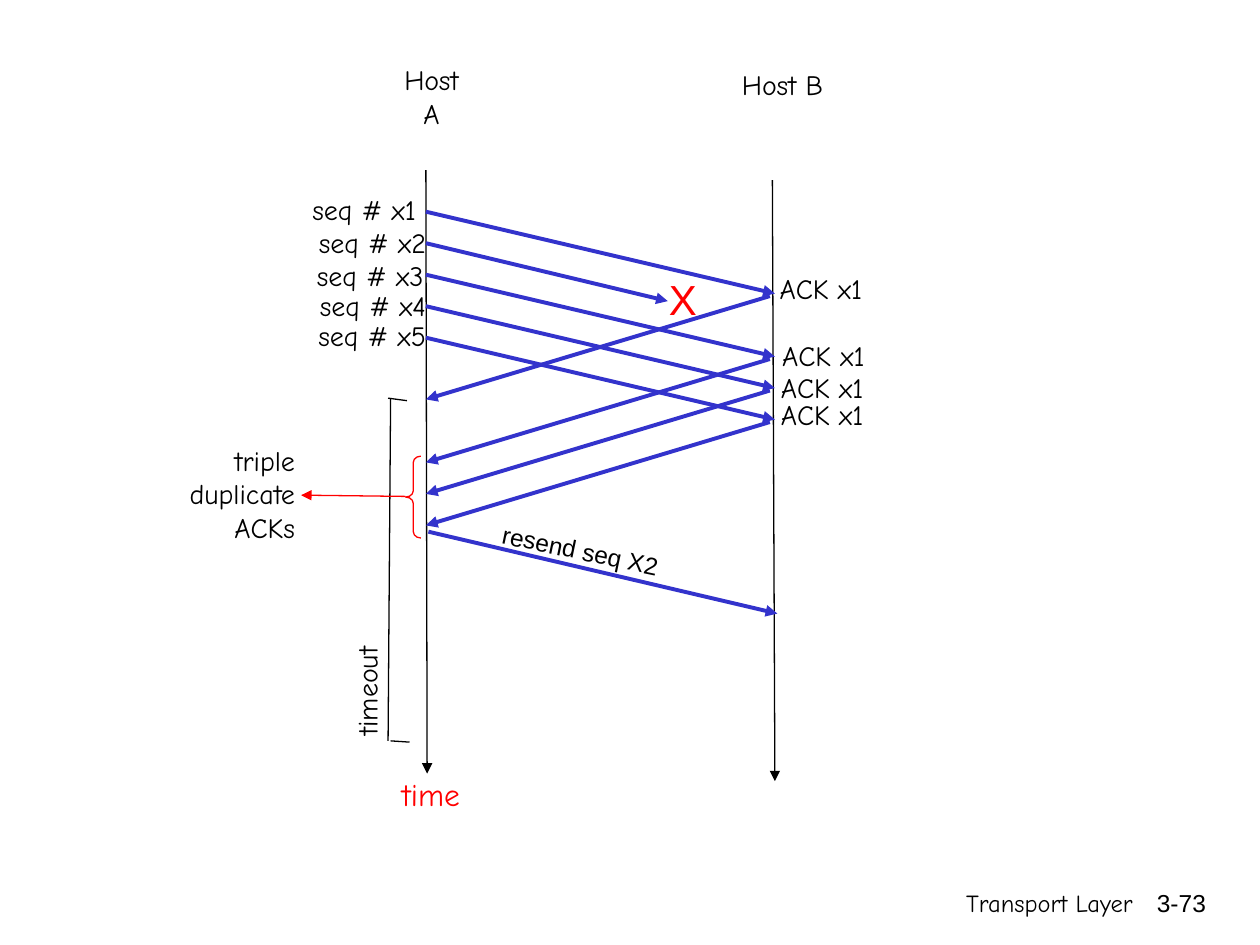
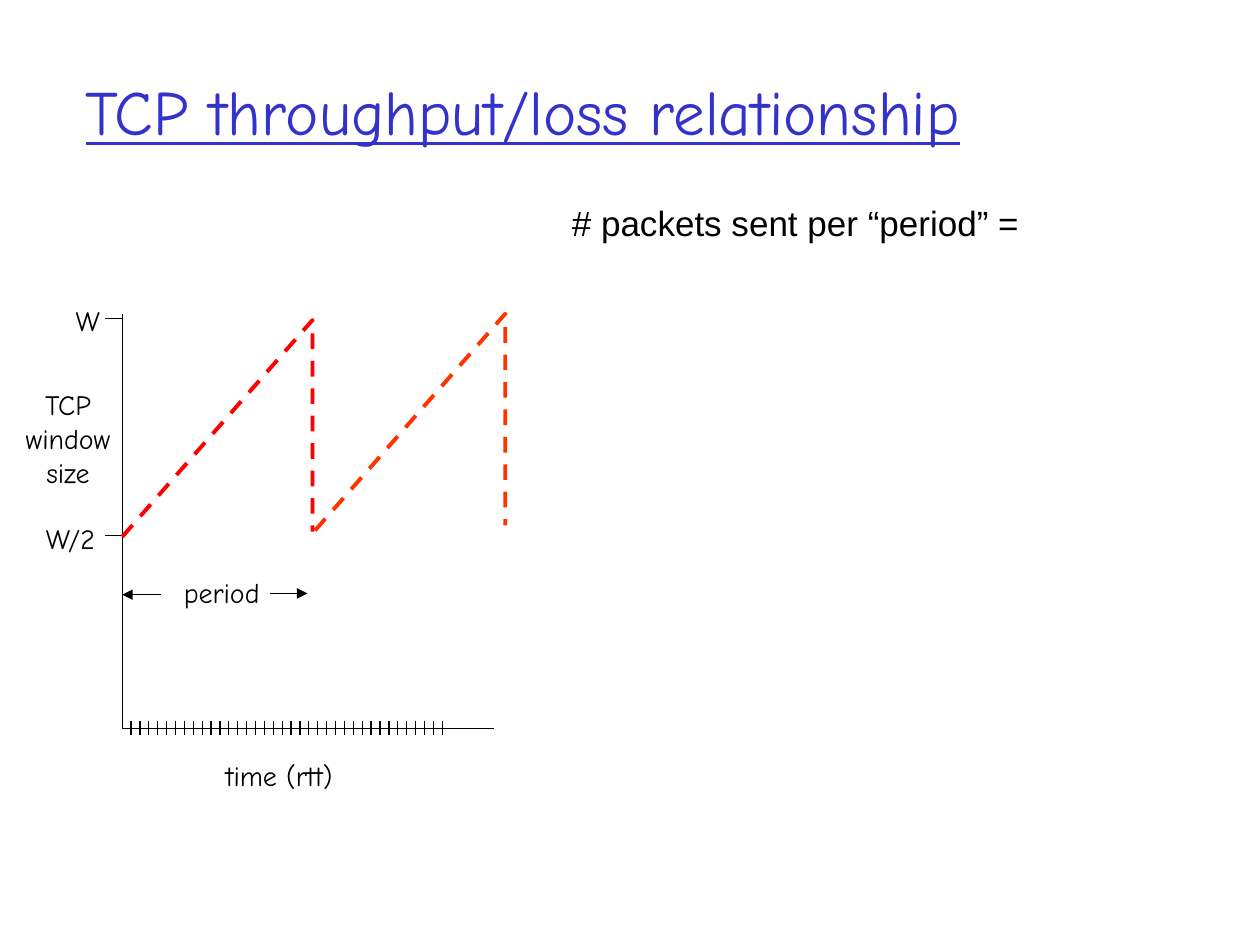
from lxml.etree import SubElement
from pptx import Presentation
from pptx.dml.color import RGBColor
from pptx.enum.dml import MSO_LINE
from pptx.enum.shapes import MSO_CONNECTOR, MSO_SHAPE
from pptx.enum.text import MSO_ANCHOR, MSO_AUTO_SIZE, PP_ALIGN
from pptx.oxml.ns import qn
from pptx.util import Inches, Pt

BLACK, BLUE, RED, ORANGE = "000000", "3333CC", "FF0000", "FF3300"
COMIC, ARIAL = "Comic Neue", "Arial"
LEFT, MID, RIGHT = PP_ALIGN.LEFT, PP_ALIGN.CENTER, PP_ALIGN.RIGHT


def paint(color, tone):
    color.rgb = RGBColor.from_string(tone)


def style(para, size, face, tone, align):
    para.alignment = align
    para.font.size = Pt(size)
    para.font.name = face
    paint(para.font.color, tone)


def label(slide, text, place, size=16, face=COMIC, tone=BLACK,
          align=MID, wrap=False, turn=0):
    box = slide.shapes.add_textbox(*map(Inches, place))
    box.rotation = turn
    frame = box.text_frame
    frame.word_wrap = wrap
    frame.auto_size = MSO_AUTO_SIZE.SHAPE_TO_FIT_TEXT
    frame.text = text
    for para in frame.paragraphs:
        style(para, size, face, tone, align)


def stroke(line, tone, width):
    paint(line.color, tone)
    line.width = Pt(width)


def rule(slide, start, end, tone=BLACK, width=0.75, arrow=False):
    link = slide.shapes.add_connector(
        MSO_CONNECTOR.STRAIGHT, *map(Inches, start + end))
    stroke(link.line, tone, width)
    props = link._element.spPr
    if arrow:
        SubElement(props.find(qn("a:ln")), qn("a:tailEnd"), type="triangle")
    SubElement(props, qn("a:effectLst"))


def send(slide, start, end):
    rule(slide, start, end, BLUE, 2.25, True)


def trace(slide, points, tone=BLACK, width=0.75, dash=None):
    first, *rest = [tuple(map(Inches, point)) for point in points]
    pen = slide.shapes.build_freeform(*first)
    pen.add_line_segments(rest, close=False)
    shape = pen.convert_to_shape()
    shape.shadow.inherit = False
    shape.fill.background()
    stroke(shape.line, tone, width)
    shape.line.dash_style = dash


def brace(slide, place):
    shape = slide.shapes.add_shape(MSO_SHAPE.LEFT_BRACE, *map(Inches, place))
    shape.adjustments[0] = 0.42
    shape.shadow.inherit = False
    shape.fill.background()
    stroke(shape.line, RED, 0.75)


def title(slide, text):
    head = slide.shapes.title
    head.left, head.top, head.width, head.height = map(
        Inches, (0.58, 0.25, 8.5, 1.25))
    frame = head.text_frame
    frame.text = text
    frame.auto_size = MSO_AUTO_SIZE.NONE
    frame.vertical_anchor = MSO_ANCHOR.MIDDLE
    para = frame.paragraphs[0]
    style(para, 36, COMIC, BLUE, LEFT)
    para.font.underline = True


def footer(slide, name, page):
    label(slide, name, (5.92, 7, 3.17, 0.5), 14, align=RIGHT, wrap=True)
    label(slide, page, (8.93, 7, 0.74, 0.5), 14, ARIAL, align=RIGHT, wrap=True)


def hosts(slide):
    label(slide, "Host A", (3.01, 0.45, 0.83, 0.37))
    label(slide, "Host B", (5.79, 0.49, 0.84, 0.37))
    rule(slide, (3.38, 1.35), (3.39, 6.14), arrow=True)
    rule(slide, (6.13, 1.43), (6.15, 6.2), arrow=True)
    label(slide, "time", (3.09, 6.1, 0.66, 0.4), 18, tone=RED)


def packets(slide):
    lost = 1
    edges = (3.4, 3.48, 3.46, 3.48, 3.48)
    tops = (1.48, 1.74, 2, 2.24, 2.48)
    for row, (edge, top) in enumerate(zip(edges, tops)):
        y = 1.68 + 0.25 * row
        label(slide, f"seq # x{row + 1}", (edge - 1.3, top, 1.3, 0.37),
              align=RIGHT, wrap=True)
        if row == lost:
            send(slide, (3.38, y), (5.3, y + 0.46))
        else:
            send(slide, (3.38, y), (6.15, y + 0.65))
            send(slide, (6.11, y + 0.67), (3.38, y + 1.49))
    for left, top in ((6.09, 2.11), (6.11, 2.64), (6.1, 2.89), (6.1, 3.11)):
        label(slide, "ACK x1", (left, top, 1.3, 0.37), align=LEFT, wrap=True)
    label(slide, "X", (5.21, 2.12, 0.31, 0.5), 24, ARIAL, RED, wrap=True)


def resend(slide):
    rule(slide, (3.1, 3.16), (3.08, 5.88))
    rule(slide, (3.08, 3.16), (3.23, 3.18))
    rule(slide, (3.1, 5.88), (3.25, 5.89))
    label(slide, "timeout", (2.46, 5.3, 0.9, 0.37), turn=270)
    send(slide, (3.4, 4.22), (6.17, 4.87))
    label(slide, "resend seq X2", (3.87, 4.28, 2.22, 0.34), 14, ARIAL,
          align=LEFT, wrap=True, turn=11.9)
    brace(slide, (3.22, 3.62, 0.12, 0.65))
    label(slide, "triple\nduplicate\nACKs", (1.4, 3.47, 1.04, 0.9), align=RIGHT)
    rule(slide, (3.22, 3.94), (2.39, 3.93), RED, arrow=True)


def axes(slide):
    trace(slide, ((0.97, 2.49), (0.97, 5.78), (3.92, 5.78)))
    for y in (2.53, 4.25):
        rule(slide, (0.97, y), (0.83, y))
    count, first, last = 36, 1.04, 3.51
    for tick in range(count):
        x = first + (last - first) * tick / (count - 1)
        rule(slide, (x, 5.72), (x, 5.83))
    label(slide, "W", (0.5, 2.36, 0.39, 0.37))
    label(slide, "W/2", (0.26, 4.09, 0.6, 0.37))
    label(slide, "TCP\nwindow \nsize", (0.07, 3.03, 0.94, 0.9))
    label(slide, "time (rtt)", (1.69, 5.97, 1.05, 0.37))


def teeth(slide):
    for x, y, tone in ((0.97, 4.26, RED), (2.5, 4.21, ORANGE)):
        peak = x + 1.51
        trace(slide, ((x, y), (peak, y - 1.72), (peak, y - 0.04)),
              tone, 2.25, MSO_LINE.DASH)
    rule(slide, (1.28, 4.72), (0.97, 4.72), arrow=True)
    label(slide, "period", (1.36, 4.52, 0.8, 0.37))
    rule(slide, (2.14, 4.71), (2.44, 4.71), arrow=True)


def main():
    deck = Presentation()
    deck.slide_width, deck.slide_height = Inches(10), Inches(7.5)
    bare, titled = deck.slide_layouts[6], deck.slide_layouts[5]

    slide = deck.slides.add_slide(bare)
    footer(slide, "Transport Layer", "3-73")
    hosts(slide)
    packets(slide)
    resend(slide)

    slide = deck.slides.add_slide(titled)
    title(slide, "TCP throughput/loss relationship")
    axes(slide)
    teeth(slide)
    label(slide, "# packets sent per “period” =", (4.44, 1.55, 3.82, 0.44),
          20, ARIAL, align=LEFT, wrap=True)

    deck.save("out.pptx")


if __name__ == "__main__":
    main()
